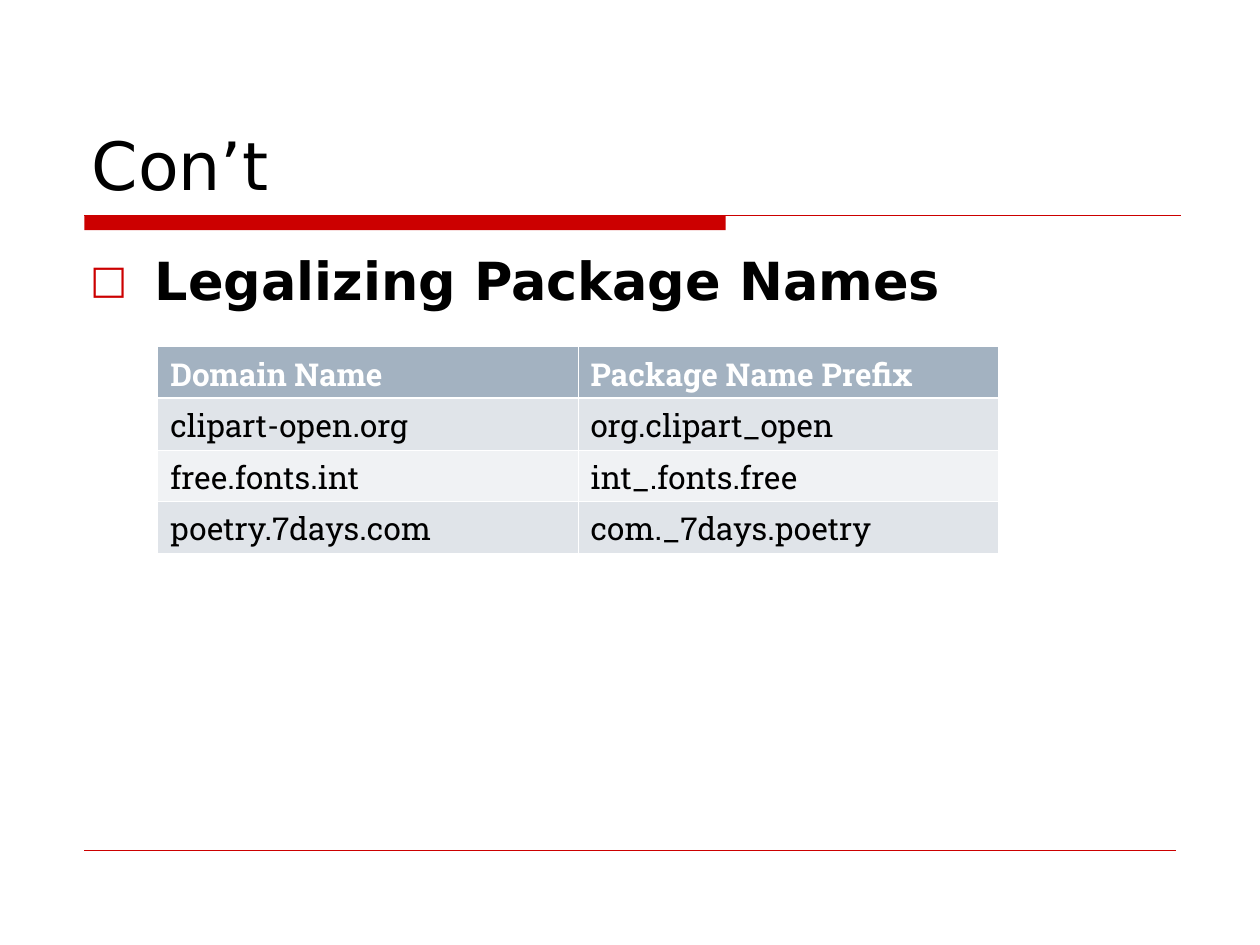
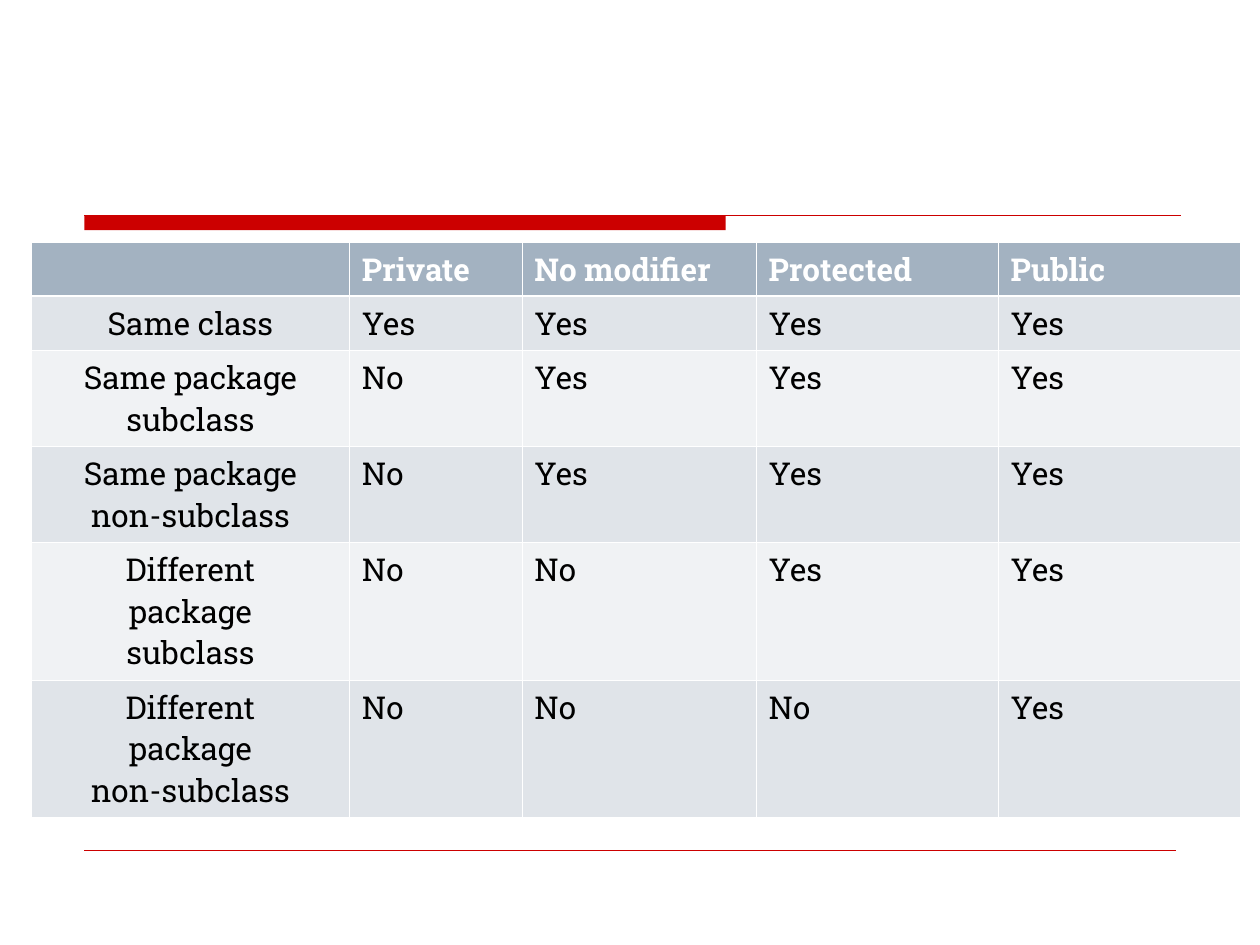
from lxml import etree
from pptx import Presentation
from pptx.dml.color import RGBColor
from pptx.enum import shapes, text
from pptx.oxml import ns
from pptx import util as u

COLOURS = {
    "accent": "CC0000",
    "ink": "000000",
    "paper": "FFFFFF",
    "header": "A3B2C1",
    "odd_row": "E0E4E9",
    "even_row": "F0F2F4",
}
HEADING_FONT = "DejaVu Sans"
TABLE_FONT = "Roboto Slab"
TITLE = {"name": HEADING_FONT, "size": u.Pt(38)}
TOPIC = {"name": HEADING_FONT, "size": u.Pt(30), "bold": True}
HEADER_CELL = {"name": TABLE_FONT, "size": u.Pt(18), "bold": True}
BODY_CELL = {**HEADER_CELL, "bold": False}
LEFT_EDGE = 1.7
BAND_TOP = 4.34
FOOTER_TOP = 17.15

PACKAGE_NAMES = [
    ["Domain Name", "Package Name Prefix"],
    ["clipart-open.org", "org.clipart_open"],
    ["free.fonts.int", "int_.fonts.free"],
    ["poetry.7days.com", "com._7days.poetry"],
]
ACCESS_LEVELS = [
    ["", "Private", "No modifier", "Protected", "Public"],
    ["Same class", "Yes", "Yes", "Yes", "Yes"],
    ["Same package\nsubclass", "No", "Yes", "Yes", "Yes"],
    ["Same package\nnon-subclass", "No", "Yes", "Yes", "Yes"],
    ["Different\npackage\nsubclass", "No", "No", "Yes", "Yes"],
    ["Different\npackage\nnon-subclass", "No", "No", "No", "Yes"],
]


def rgb(colour):
    """Return the named colour as an RGBColor."""
    return RGBColor.from_string(COLOURS[colour])


def add_xml(parent, tag, **attributes):
    """Append a drawing element to parent and return it."""
    return etree.SubElement(parent, ns.qn(tag), attributes)


def format_font(font, style, colour):
    """Apply a dict of font values and a colour."""
    for attribute, value in style.items():
        setattr(font, attribute, value)
    font.color.rgb = rgb(colour)


def add_rule(slide, top, right, weight):
    """Draw a horizontal accent line from the left edge."""
    rule = slide.shapes.add_connector(
        shapes.MSO_CONNECTOR.STRAIGHT,
        u.Cm(LEFT_EDGE), u.Cm(top), u.Cm(right), u.Cm(top))
    rule.line.color.rgb = rgb("accent")
    rule.line.width = u.Pt(weight)
    add_xml(rule._element.spPr, "a:effectLst")


def add_framed_slide(deck):
    """Add a blank slide with the red band and footer rule."""
    slide = deck.slides.add_slide(deck.slide_layouts[6])
    band = slide.shapes.add_shape(
        shapes.MSO_SHAPE.RECTANGLE,
        u.Cm(LEFT_EDGE), u.Cm(BAND_TOP), u.Cm(12.93), u.Cm(0.3))
    band.shadow.inherit = False
    band.fill.solid()
    band.fill.fore_color.rgb = rgb("accent")
    band.line.fill.background()
    add_rule(slide, BAND_TOP, 23.8, 0.75)
    add_rule(slide, FOOTER_TOP, 23.7, 0.25)
    return slide


def add_text(slide, content, box, style, anchor):
    """Add a wrapped text box and return its paragraph."""
    frame = slide.shapes.add_textbox(*map(u.Cm, box)).text_frame
    frame.word_wrap = True
    frame.vertical_anchor = anchor
    paragraph = frame.paragraphs[0]
    run = paragraph.add_run()
    run.text = content
    format_font(run.font, style, "ink")
    return paragraph


def add_square_bullet(paragraph):
    """Give a paragraph a hanging red square bullet."""
    paragraph.space_before = u.Pt(7.5)
    properties = paragraph._p.get_or_add_pPr()
    indent = u.Cm(1.3)
    properties.set("marL", str(indent))
    properties.set("indent", str(-indent))
    colour = add_xml(properties, "a:buClr")
    add_xml(colour, "a:srgbClr", val=COLOURS["accent"])
    add_xml(properties, "a:buSzPct", val="75000")
    add_xml(properties, "a:buFont", typeface=HEADING_FONT)
    add_xml(properties, "a:buChar", char="□")


def add_borders(cell, row):
    """Draw white cell borders, heavier below the header row."""
    heavy = {0: "a:lnB", 1: "a:lnT"}.get(row)
    properties = cell._tc.get_or_add_tcPr()
    for side in ("a:lnL", "a:lnR", "a:lnT", "a:lnB"):
        weight = u.Pt(1.47 if side == heavy else 0.45)
        border = add_xml(properties, side, w=str(weight))
        fill = add_xml(border, "a:solidFill")
        add_xml(fill, "a:srgbClr", val=COLOURS["paper"])


def fill_cell(cell, content, row, anchor, alignment):
    """Write and format one table cell."""
    add_borders(cell, row)
    band = "header" if row == 0 else "odd_row" if row % 2 else "even_row"
    cell.fill.solid()
    cell.fill.fore_color.rgb = rgb(band)
    cell.vertical_anchor = anchor
    cell.text = content
    style, colour = (BODY_CELL, "ink") if row else (HEADER_CELL, "paper")
    for paragraph in cell.text_frame.paragraphs:
        paragraph.alignment = alignment
        format_font(paragraph.font, style, colour)
        for run in paragraph.runs:
            format_font(run.font, style, colour)


def add_grid(slide, rows, corner, widths, heights, anchor, centre_labels=False):
    """Add a banded table with a header row."""
    box = (*corner, sum(widths), sum(heights))
    table = slide.shapes.add_table(
        len(rows), len(widths), *map(u.Cm, box)).table
    for column, width in zip(table.columns, widths):
        column.width = u.Cm(width)
    for line, height in zip(table.rows, heights):
        line.height = u.Cm(height)
    for row, contents in enumerate(rows):
        for column, content in enumerate(contents):
            centred = centre_labels and row and not column
            alignment = text.PP_ALIGN.CENTER if centred else text.PP_ALIGN.LEFT
            fill_cell(table.cell(row, column), content, row, anchor, alignment)


def main():
    """Build the package naming and access level slides."""
    deck = Presentation()
    deck.slide_width, deck.slide_height = u.Cm(25.4), u.Cm(19.05)
    anchors = text.MSO_ANCHOR

    naming = add_framed_slide(deck)
    add_text(naming, "Con’t", (1.6, 0.85, 22.22, 3.38), TITLE, anchors.BOTTOM)
    topic = add_text(naming, "Legalizing Package Names",
                     (1.57, 4.88, 22.22, 11.85), TOPIC, anchors.TOP)
    add_square_bullet(topic)
    add_grid(naming, PACKAGE_NAMES, (3.18, 6.99), [8.47] * 2, [1.04] * 4,
             anchors.MIDDLE)

    access = add_framed_slide(deck)
    add_grid(access, ACCESS_LEVELS, (0.64, 4.88),
             [6.4, 3.48, 4.72, 4.88, 4.88],
             [1.02, 1.02, 1.78, 1.78, 2.54, 2.54],
             anchors.TOP, centre_labels=True)

    deck.save("out.pptx")


if __name__ == "__main__":
    main()
